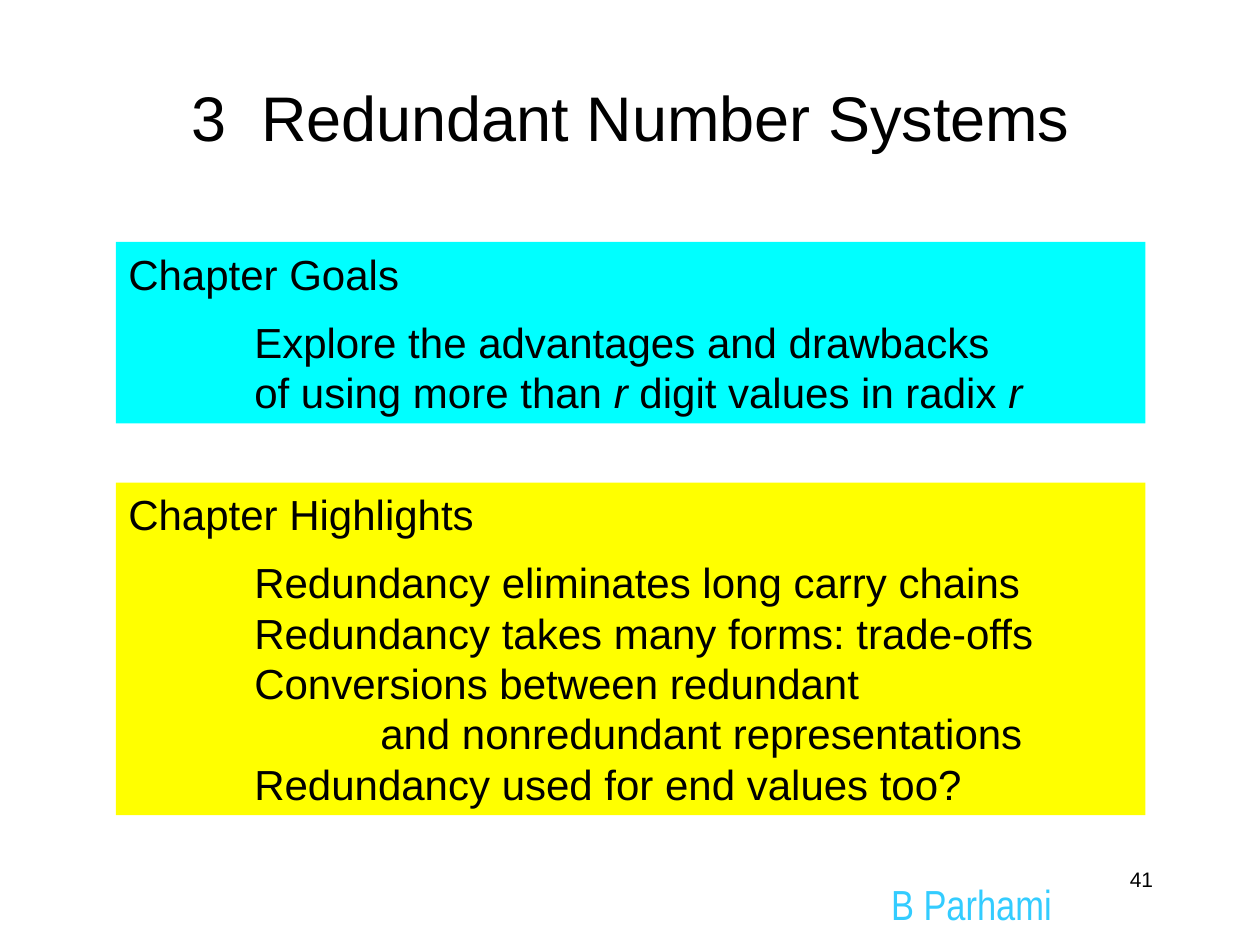
import pptx
import pptx.util
import pptx.dml.color
import pptx.enum.lang
import pptx.enum.shapes
import pptx.enum.text

Inches, Pt = pptx.util.Inches, pptx.util.Pt
ALIGN = pptx.enum.text.PP_ALIGN
ANCHOR = pptx.enum.text.MSO_ANCHOR
COLORS = {"text": "000000", "goals": "00FFFF", "highlights": "FFFF00", "author": "33CCFF"}


def rgb(name):
    return pptx.dml.color.RGBColor.from_string(COLORS[name])


def write(paragraph, text, size=24, font="Arial", color="text", align=ALIGN.LEFT, indent=0):
    """Fill a paragraph; parts between asterisks are italic, indent is in inches."""
    paragraph.alignment = align
    if indent:
        properties = paragraph._p.get_or_add_pPr()
        properties.set("marL", str(Inches(indent)))
        properties.set("indent", "0")
    for index, part in enumerate(text.split("*")):
        if part:
            run = paragraph.add_run()
            run.text = part
            run.font.size = Pt(size)
            run.font.name = font
            run.font.language_id = pptx.enum.lang.MSO_LANGUAGE_ID.ENGLISH_US
            run.font.italic = index % 2 == 1
            run.font.color.rgb = rgb(color)
            # Swiss, variable pitch: guides the choice of a substitute font
            run._r.rPr.find(pptx.oxml.ns.qn("a:latin")).set("pitchFamily", "34")


presentation = pptx.Presentation()
presentation.slide_width, presentation.slide_height = Inches(10), Inches(7.5)
slide = presentation.slides.add_slide(presentation.slide_layouts[5])

# Title
title = slide.shapes.title
title.left, title.top, title.width, title.height = map(Inches, (0.42, 0.42, 9.17, 1))
title.text_frame.vertical_anchor = ANCHOR.MIDDLE
write(title.text_frame.paragraphs[0], "3  Redundant Number Systems", size=36, align=ALIGN.CENTER)

# Chapter panels: fill, top, height, heading, (indent, line) pairs
panels = [
    ("goals", 1.92, 1.44, "Chapter Goals", [
        (1, "Explore the advantages and drawbacks"),
        (1, "of using more than *r* digit values in radix *r*"),
    ]),
    ("highlights", 3.83, 2.64, "Chapter Highlights", [
        (1, "Redundancy eliminates long carry chains"),
        (1, "Redundancy takes many forms: trade-offs"),
        (1, "Conversions between redundant"),
        (2, "and nonredundant representations"),
        (1, "Redundancy used for end values too?"),
    ]),
]
for fill, top, height, heading, lines in panels:
    panel = slide.shapes.add_shape(
        pptx.enum.shapes.MSO_SHAPE.RECTANGLE,
        Inches(0.92), Inches(top), Inches(8.17), Inches(height))
    panel.shadow.inherit = False
    panel.fill.solid()
    panel.fill.fore_color.rgb = rgb(fill)
    panel.line.fill.background()
    frame = panel.text_frame
    frame.word_wrap = True
    frame.vertical_anchor = ANCHOR.TOP
    write(frame.paragraphs[0], heading, align=ALIGN.JUSTIFY)
    frame.paragraphs[0].space_after = Pt(10)
    for indent, line in lines:
        write(frame.add_paragraph(), line, align=ALIGN.JUSTIFY, indent=indent)
    for paragraph in frame.paragraphs:
        paragraph.line_spacing = Pt(28.8)

# Author name
author = slide.shapes.add_textbox(Inches(6.81), Inches(6.92), Inches(1.8), Inches(0.42))
author.text_frame.word_wrap = False
author.text_frame.margin_left = author.text_frame.margin_right = 0
write(author.text_frame.paragraphs[0], "B Parhami", font="Arial Narrow", color="author",
      align=ALIGN.CENTER)

# Page number
number = slide.shapes.add_textbox(Inches(7.17), Inches(6.83), Inches(2.08), Inches(0.5))
number.text_frame.word_wrap = True
write(number.text_frame.paragraphs[0], "41", size=12, align=ALIGN.RIGHT)

presentation.save("out.pptx")
